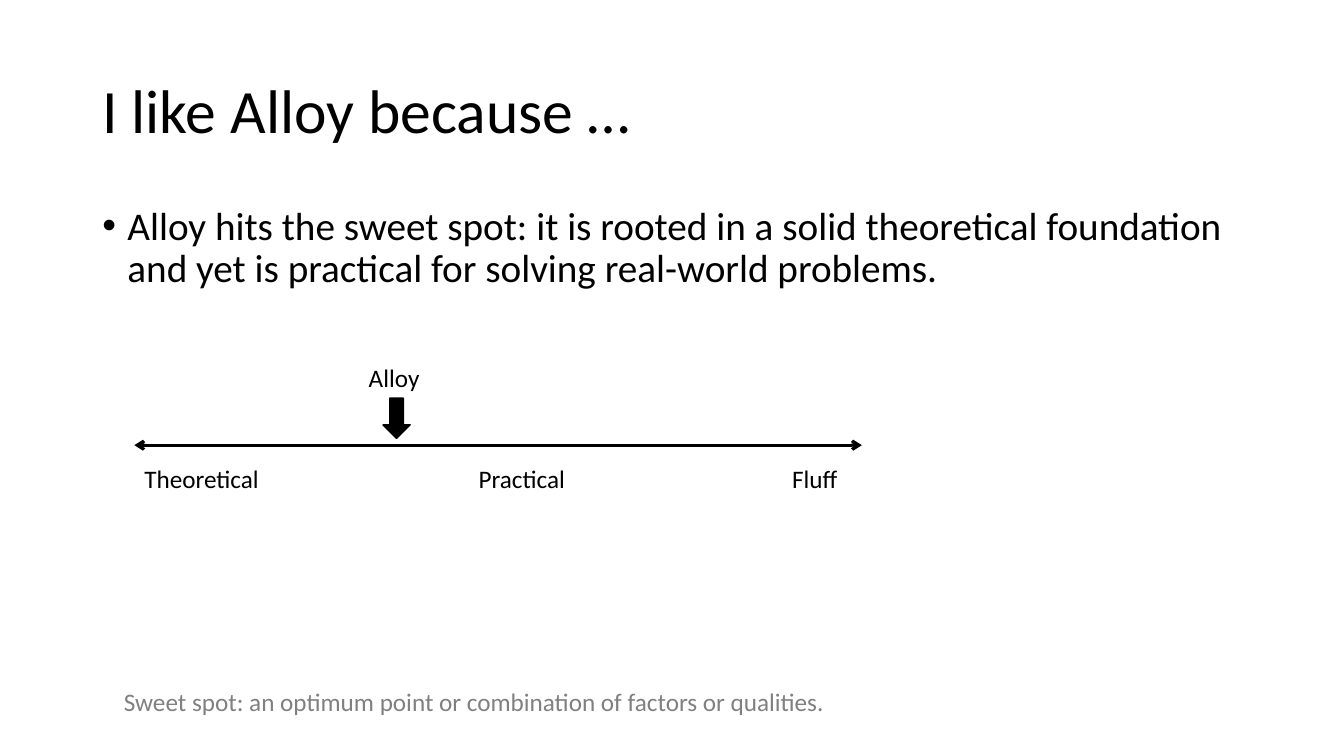
from lxml.etree import SubElement
from pptx import Presentation
from pptx.dml.color import RGBColor
from pptx.enum.shapes import MSO_CONNECTOR, MSO_SHAPE
from pptx.enum.text import MSO_ANCHOR, MSO_AUTO_SIZE
from pptx.oxml.ns import qn
from pptx.util import Pt

COLORS = {"ink": "000000", "note": "808080", "page": "FFFFFF"}


class Deck:
    font = "Calibri"

    def __init__(self, show):
        self.slide = show.slides.add_slide(show.slide_layouts[6])
        self.shapes = self.slide.shapes
        self.paint(self.slide.background.fill, "page")

    def paint(self, fill, color):
        fill.solid()
        fill.fore_color.rgb = RGBColor.from_string(COLORS[color])

    def text(self, words, left, top, width, height, size=18, color="ink",
             wrap=True, grow=True):
        box = self.shapes.add_textbox(Pt(left), Pt(top), Pt(width), Pt(height))
        frame = box.text_frame
        frame.word_wrap = wrap
        frame.auto_size = (MSO_AUTO_SIZE.SHAPE_TO_FIT_TEXT if grow
                           else MSO_AUTO_SIZE.NONE)
        para = frame.paragraphs[0]
        run = para.add_run()
        run.text = words
        run.font.name = self.font
        run.font.size = Pt(size)
        self.paint(run.font.fill, color)
        return frame

    def title(self, words, *place):
        frame = self.text(words, *place, size=44, grow=False)
        frame.vertical_anchor = MSO_ANCHOR.MIDDLE
        frame.paragraphs[0].line_spacing = 0.9

    def bullet(self, words, *place):
        para = self.text(words, *place, size=28, grow=False).paragraphs[0]
        para.line_spacing = 0.9
        para.space_before = Pt(10)
        props = para._p.get_or_add_pPr()
        props.set("marL", str(Pt(18)))
        props.set("indent", str(Pt(-18)))
        SubElement(props, qn("a:buFont"), typeface="Arial")
        SubElement(props, qn("a:buChar"), char="•")

    def axis(self, left, right, top):
        line = self.shapes.add_connector(
            MSO_CONNECTOR.STRAIGHT, Pt(left), Pt(top), Pt(right), Pt(top))
        line.line.width = Pt(2.25)
        self.paint(line.line.fill, "ink")
        props = line._element.spPr
        for end in ("a:headEnd", "a:tailEnd"):
            SubElement(props.find(qn("a:ln")), qn(end), type="arrow")
        SubElement(props, qn("a:effectLst"))

    def marker(self, left, top, width, height):
        arrow = self.shapes.add_shape(
            MSO_SHAPE.DOWN_ARROW, Pt(left), Pt(top), Pt(width), Pt(height))
        arrow.shadow.inherit = False
        arrow.line.width = Pt(1)
        self.paint(arrow.fill, "ink")
        self.paint(arrow.line.fill, "ink")


show = Presentation()
show.slide_width, show.slide_height = Pt(960), Pt(540)
deck = Deck(show)

deck.title("I like Alloy because …", 66, 28.75, 828, 104.4)
deck.bullet("Alloy hits the sweet spot: it is rooted in a solid theoretical "
            "foundation and yet is practical for solving real-world problems.",
            66, 143.75, 828, 119.5)

deck.axis(96, 615.6, 318)
for word, left, width in (("Theoretical", 96, 97), ("Practical", 334.8, 77),
                          ("Fluff", 558.7, 47.5)):
    deck.text(word, left, 327.6, width, 29, wrap=False)
deck.marker(273.6, 284.4, 19.4, 28.8)
deck.text("Alloy", 256.3, 254.9, 54, 29)

deck.text("Sweet spot: an optimum point or combination of factors or qualities.",
          81.4, 486.7, 584, 29, color="note")

show.save("out.pptx")
